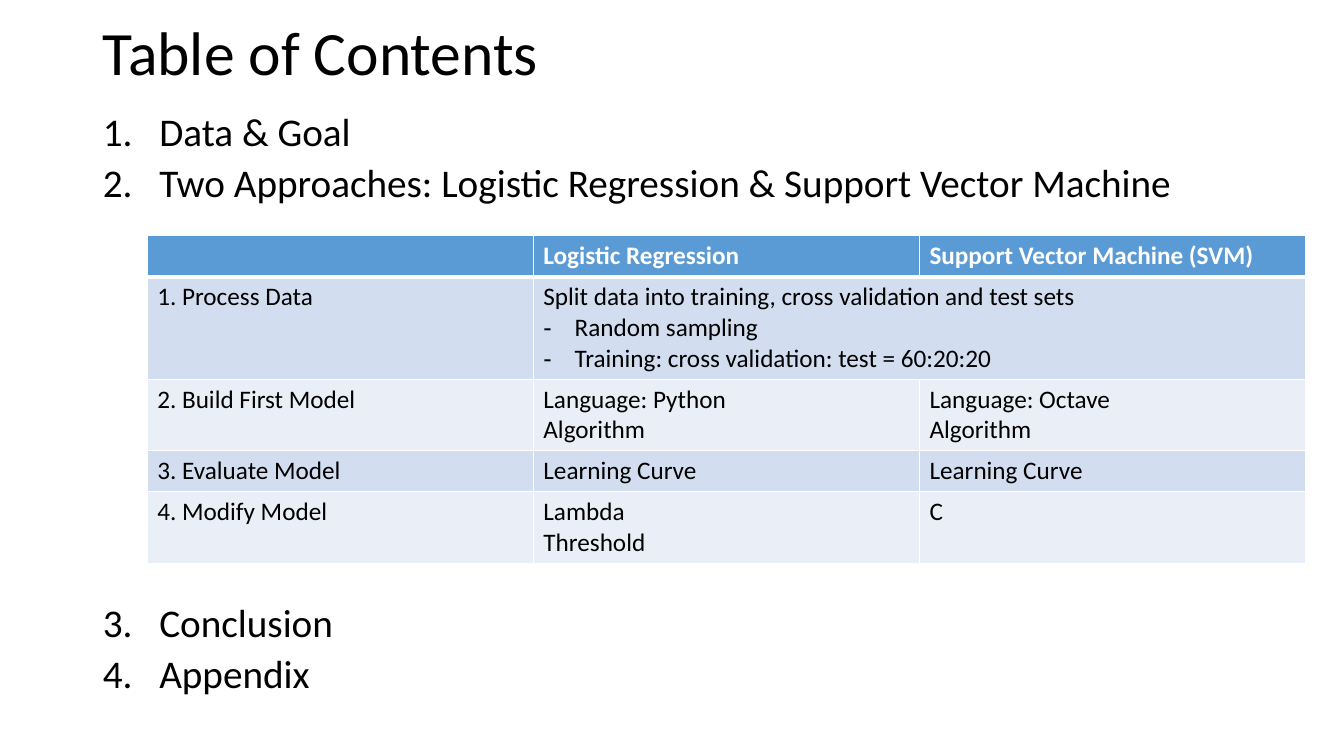
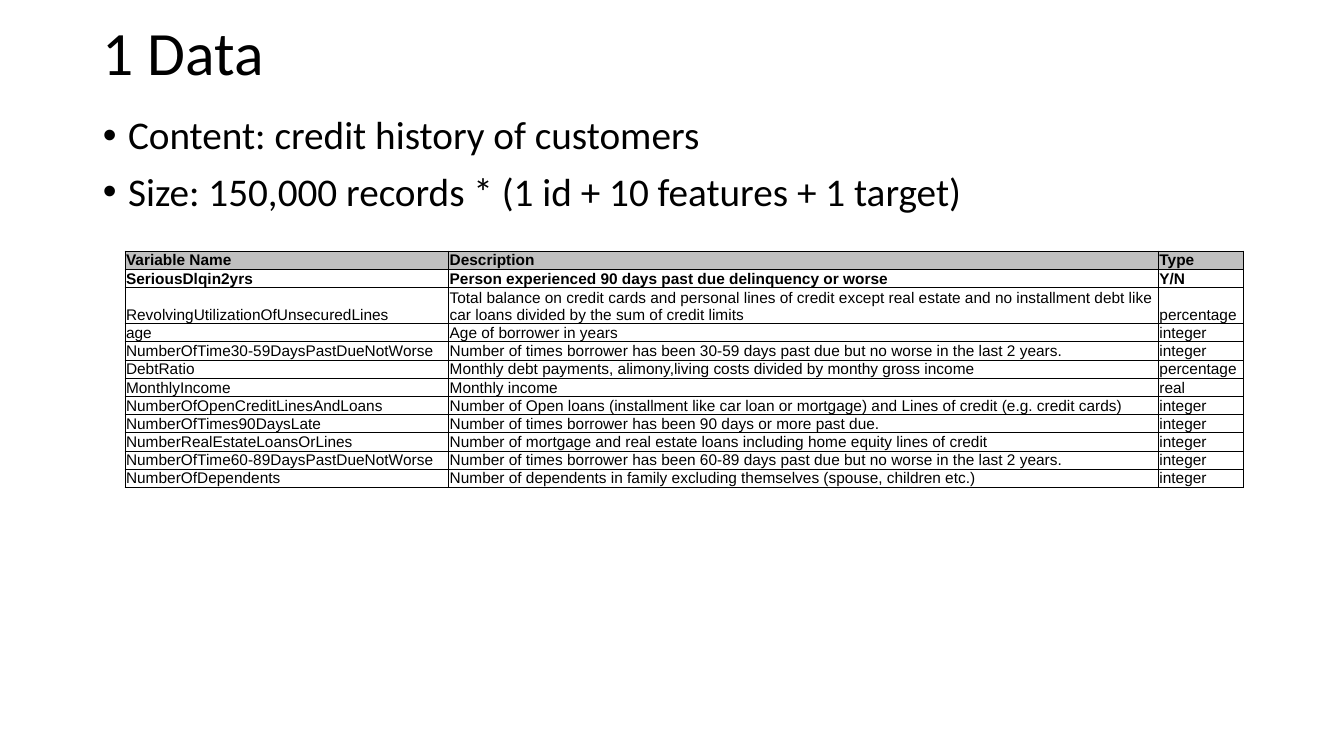
from dataclasses import dataclass

from lxml import etree
from pptx import Presentation
from pptx.dml.color import RGBColor
from pptx.enum.text import MSO_ANCHOR, MSO_AUTO_SIZE, PP_ALIGN
from pptx.oxml.ns import qn
from pptx.util import Inches, Pt

LEFT = PP_ALIGN.LEFT
TOP, MIDDLE, BOTTOM = MSO_ANCHOR.TOP, MSO_ANCHOR.MIDDLE, MSO_ANCHOR.BOTTOM
NO_AUTOFIT = MSO_AUTO_SIZE.NONE

# Content
CONTENTS_TITLE = "Table of Contents"
# Each item: text, space before in points; the third leaves room for the table
CONTENTS_ITEMS = [
    ("Data & Goal", 10),
    ("Two Approaches: Logistic Regression & Support Vector Machine", 10),
    ("Conclusion", 287),
    ("Appendix", 10),
]
# A line starting with "- " becomes a dash bullet
APPROACHES = [
    ("", "Logistic Regression", "Support Vector Machine (SVM)"),
    ("1. Process Data",
     "Split data into training, cross validation and test sets\n"
     "- Random sampling\n"
     "- Training: cross validation: test = 60:20:20", ""),
    ("2. Build First Model", "Language: Python\nAlgorithm",
     "Language: Octave\nAlgorithm"),
    ("3. Evaluate Model", "Learning Curve", "Learning Curve"),
    ("4. Modify Model", "Lambda\nThreshold", "C"),
]

DATA_TITLE = "1 Data"
DATA_ITEMS = [
    ("Content: credit history of customers", 10),
    ("Size: 150,000 records * (1 id + 10 features + 1 target)", 10),
]
VARIABLES = [
    ("Variable Name", "Description", "Type"),
    ("SeriousDlqin2yrs",
     "Person experienced 90 days past due delinquency or worse", "Y/N"),
    ("RevolvingUtilizationOfUnsecuredLines",
     "Total balance on credit cards and personal lines of credit except real "
     "estate and no installment debt like car loans divided by the sum of "
     "credit limits", "percentage"),
    ("age", "Age of borrower in years", "integer"),
    ("NumberOfTime30-59DaysPastDueNotWorse",
     "Number of times borrower has been 30-59 days past due but no worse in "
     "the last 2 years.", "integer"),
    ("DebtRatio",
     "Monthly debt payments, alimony,living costs divided by monthy gross "
     "income", "percentage"),
    ("MonthlyIncome", "Monthly income", "real"),
    ("NumberOfOpenCreditLinesAndLoans",
     "Number of Open loans (installment like car loan or mortgage) and Lines "
     "of credit (e.g. credit cards)", "integer"),
    ("NumberOfTimes90DaysLate",
     "Number of times borrower has been 90 days or more past due.", "integer"),
    ("NumberRealEstateLoansOrLines",
     "Number of mortgage and real estate loans including home equity lines "
     "of credit", "integer"),
    ("NumberOfTime60-89DaysPastDueNotWorse",
     "Number of times borrower has been 60-89 days past due but no worse in "
     "the last 2 years.", "integer"),
    ("NumberOfDependents",
     "Number of dependents in family excluding themselves (spouse, children "
     "etc.)", "integer"),
]
WRAPPED_VARIABLE = 2


@dataclass(frozen=True)
class Theme:
    """Colours, fonts and type sizes of the deck."""
    text: str = "000000"
    white: str = "FFFFFF"
    header: str = "5B9BD5"
    band_dark: str = "D2DEEF"
    band_light: str = "EAEFF7"
    grey: str = "C0C0C0"
    font: str = "Calibri"
    data_font: str = "Arial"
    title_size: int = 44
    body_size: int = 28
    table_size: int = 18
    data_size: int = 11


THEME = Theme()
TITLE_BOX = (0.92, 0.14, 11.5, 0.82)
BODY_LEFT, BODY_TOP, BODY_WIDTH = 0.92, 1.1, 11.5
NUMBERED = ("buAutoNum", {"type": "arabicPeriod"})
BULLET = ("buChar", {"char": "•"})
DASH = ("buChar", {"char": "-"})


def apply_format(target, formats):
    """Set every attribute named in formats on target."""
    for name, value in formats.items():
        setattr(target, name, value)


def write_run(paragraph, text, size, font=THEME.font, color=THEME.text,
              bold=False):
    """Add one formatted run to a paragraph."""
    run = paragraph.add_run()
    run.text = text
    apply_format(run.font, {"name": font, "size": Pt(size), "bold": bold})
    run.font.color.rgb = RGBColor.from_string(color)


def add_bullet(paragraph, marker, indent):
    """Give a paragraph a hanging bullet or number."""
    tag, attributes = marker
    properties = paragraph._p.get_or_add_pPr()
    properties.set("marL", str(Inches(indent)))
    properties.set("indent", str(-Inches(indent)))
    if marker is not NUMBERED:
        etree.SubElement(properties, qn("a:buFont"), typeface=THEME.data_font)
    etree.SubElement(properties, qn("a:" + tag), attributes)


def place(placeholder, box, anchor):
    """Move a placeholder and return its text frame."""
    sides = ("left", "top", "width", "height")
    apply_format(placeholder, dict(zip(sides, map(Inches, box))))
    frame = placeholder.text_frame
    apply_format(frame, {"word_wrap": True, "auto_size": NO_AUTOFIT,
                         "vertical_anchor": anchor})
    return frame


def add_list_slide(deck, title, items, body_height, marker, indent, spacing):
    """Add a slide with the shared title style and a marked list."""
    slide = deck.slides.add_slide(deck.slide_layouts[1])
    heading = place(slide.shapes.title, TITLE_BOX, MIDDLE).paragraphs[0]
    apply_format(heading, {"alignment": LEFT, "line_spacing": 0.9})
    write_run(heading, title, THEME.title_size)

    body_box = (BODY_LEFT, BODY_TOP, BODY_WIDTH, body_height)
    body = place(slide.placeholders[1], body_box, TOP)
    for index, (text, space) in enumerate(items):
        item = body.add_paragraph() if index else body.paragraphs[0]
        apply_format(item, {"line_spacing": spacing, "space_before": Pt(space),
                            "space_after": Pt(0)})
        add_bullet(item, marker, indent)
        write_run(item, text, THEME.body_size)
    return slide


def set_borders(cell, color, widths):
    """Draw the cell borders; widths maps L, R, T, B to points."""
    properties = cell._tc.get_or_add_tcPr()
    for side in "LRTB":
        line = etree.SubElement(properties, qn("a:ln" + side),
                                w=str(Pt(widths[side])))
        fill = etree.SubElement(line, qn("a:solidFill"))
        etree.SubElement(fill, qn("a:srgbClr"), val=color)


def paint(cell, color):
    """Fill a cell, or leave it clear when there is no colour."""
    if color is None:
        cell.fill.background()
    else:
        cell.fill.solid()
        cell.fill.fore_color.rgb = RGBColor.from_string(color)


def write_cell(cell, text, **style):
    """Write the lines of a cell, turning dash lines into bullets."""
    if not text:
        return
    for index, line in enumerate(text.split("\n")):
        frame = cell.text_frame
        paragraph = frame.add_paragraph() if index else frame.paragraphs[0]
        paragraph.alignment = LEFT
        if line.startswith("- "):
            add_bullet(paragraph, DASH, 0.31)
        write_run(paragraph, line.removeprefix("- "), **style)


def add_grid(slide, rows, left, top, columns, heights):
    """Add an unfilled table with the given column and row lengths."""
    grid = slide.shapes.add_table(
        len(rows), len(columns), Inches(left), Inches(top),
        Inches(sum(columns)), Inches(sum(heights))).table
    for column, width in zip(grid.columns, columns):
        column.width = Inches(width)
    for row, height in zip(grid.rows, heights):
        row.height = Inches(height)
    return grid


def add_approaches(slide):
    """Add the banded comparison of the two approaches."""
    heights = [0.1 + 0.3 * max(text.count("\n") + 1 for text in row)
               for row in APPROACHES]
    grid = add_grid(slide, APPROACHES, 1.46, 2.34, [3.83] * 3, heights)
    bands = (THEME.band_light, THEME.band_dark)
    for r, row in enumerate(APPROACHES):
        is_header = r == 0
        widths = {"L": 1, "R": 1, "T": 3 if r == 1 else 1,
                  "B": 3 if is_header else 1}
        for c, text in enumerate(row):
            cell = grid.cell(r, c)
            set_borders(cell, THEME.white, widths)
            paint(cell, THEME.header if is_header else bands[r % 2])
            write_cell(cell, text, size=THEME.table_size, bold=is_header,
                       color=THEME.white if is_header else THEME.text)
    grid.cell(1, 1).merge(grid.cell(1, 2))


def add_variables(slide):
    """Add the ruled list of variables in the data."""
    heights = [0.36 if r == WRAPPED_VARIABLE else 0.18
               for r in range(len(VARIABLES))]
    grid = add_grid(slide, VARIABLES, 1.24, 2.49, [3.21, 7.04, 0.84], heights)
    layout = {"vertical_anchor": BOTTOM, "margin_left": Inches(0.01),
              "margin_top": Inches(0.01), "margin_right": Inches(0.01),
              "margin_bottom": 0}
    for r, row in enumerate(VARIABLES):
        for c, text in enumerate(row):
            cell = grid.cell(r, c)
            apply_format(cell, layout)
            set_borders(cell, THEME.text, dict.fromkeys("LRTB", 0.5))
            paint(cell, THEME.grey if r == 0 else None)
            write_cell(cell, text, size=THEME.data_size, font=THEME.data_font,
                       bold=r < 2)


def main():
    """Build and save the deck."""
    deck = Presentation()
    apply_format(deck, {"slide_width": Inches(13.33),
                        "slide_height": Inches(7.5)})
    add_approaches(add_list_slide(deck, CONTENTS_TITLE, CONTENTS_ITEMS, 6.4,
                                  NUMBERED, 0.56, 0.8))
    add_variables(add_list_slide(deck, DATA_TITLE, DATA_ITEMS, 5.76,
                                 BULLET, 0.25, 0.9))
    deck.save("out.pptx")


main()
